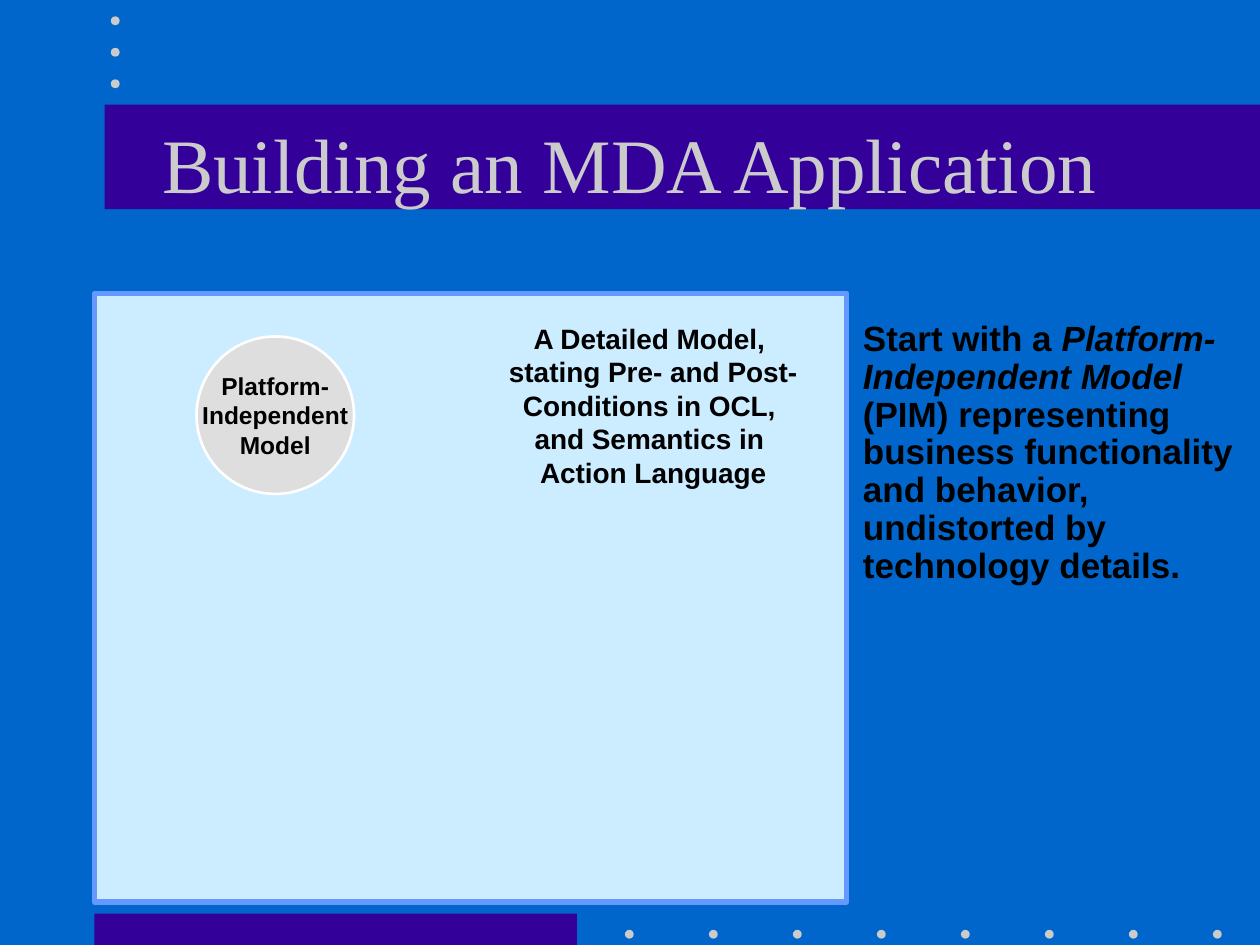
from pptx import Presentation
from pptx.dml.color import RGBColor
from pptx.enum import shapes as sh, text as tx
from pptx.util import Inches, Pt

HUES = {
    "back": "0066CC", "bar": "330099", "dot": "CBCBCB", "panel": "CCECFF",
    "edge": "6699FF", "disc": "DEDEDE", "rim": "FFFFFF", "ink": "000000",
}


def hue(name):
    return RGBColor.from_string(HUES[name])


def draw(kind, box, fill, line=None, width=0):
    form = slide.shapes.add_shape(kind, *map(Inches, box))
    form.shadow.inherit = False
    form.fill.solid()
    form.fill.fore_color.rgb = hue(fill)
    if line:
        form.line.color.rgb = hue(line)
        form.line.width = Pt(width)
    else:
        form.line.fill.background()
    return form


RECT, OVAL = sh.MSO_SHAPE.RECTANGLE, sh.MSO_SHAPE.OVAL

prs = Presentation()
prs.slide_width, prs.slide_height = Inches(10), Inches(7.5)
slide = prs.slides.add_slide(prs.slide_layouts[5])
slide.background.fill.solid()
slide.background.fill.fore_color.rgb = hue("back")

# Bars and rows of dots
draw(RECT, (0.75, 7.25, 3.83, 0.25), "bar")
draw(RECT, (0.83, 0.83, 9.17, 0.83), "bar")
spots = [(4.96 + i * 2 / 3, 7.38) for i in range(8)]
spots += [(0.88, 0.13 + i * 0.25) for i in range(3)]
for x, y in spots:
    draw(OVAL, (x, y, 0.07, 0.07), "dot")

# Title, in front of its bar
title = slide.shapes.title
slide.shapes._spTree.append(title._element)
title.left, title.top = Inches(0.75), Inches(0.67)
title.width, title.height = Inches(8.5), Inches(1.25)
title.text_frame.vertical_anchor = tx.MSO_ANCHOR.MIDDLE
para = title.text_frame.paragraphs[0]
para.alignment = tx.PP_ALIGN.CENTER
run = para.add_run()
run.text = "Building an MDA Application"
run.font.name, run.font.size = "Times New Roman", Pt(44)
run.font.color.rgb = hue("dot")

# Panel, model disc and text boxes
draw(RECT, (0.75, 2.33, 5.97, 4.83), "panel", "edge", 3)
disc = draw(OVAL, (1.56, 2.67, 1.25, 1.25), "disc", "rim", 1.5)
disc.text_frame.vertical_anchor = tx.MSO_ANCHOR.MIDDLE
note = slide.shapes.add_textbox(*map(Inches, (3.81, 2.5, 2.75, 1.44)))
side = slide.shapes.add_textbox(*map(Inches, (6.75, 2.5, 3.25, 2.2)))

# Each text: shape, size, wrap, alignment, line spacing, lines of (words, italic)
CENTER, LEFT = tx.PP_ALIGN.CENTER, tx.PP_ALIGN.LEFT
texts = [
    (disc, 14, False, CENTER, 1.0, [
        [("Platform-", False)],
        [("Independent", False)],
        [("Model", False)],
    ]),
    (note, 16, True, CENTER, 1.0, [
        [("A Detailed Model, ", False)],
        [("stating Pre- and Post-", False)],
        [("Conditions in OCL, ", False)],
        [("and Semantics in ", False)],
        [("Action Language", False)],
    ]),
    (side, 20, True, LEFT, 0.9, [[
        ("Start with a ", False),
        ("Platform-Independent Model", True),
        (" (PIM) representing business functionality and behavior, "
         "undistorted by technology details.", False),
    ]]),
]
for form, size, wrap, align, space, lines in texts:
    frame = form.text_frame
    frame.word_wrap = wrap
    para = frame.paragraphs[0]
    para.alignment, para.line_spacing = align, space
    for i, line in enumerate(lines):
        if i:
            para.add_line_break()
        for words, slant in line:
            run = para.add_run()
            run.text = words
            run.font.name, run.font.size = "Arial", Pt(size)
            run.font.bold, run.font.italic = True, slant
            run.font.color.rgb = hue("ink")

prs.save("out.pptx")
